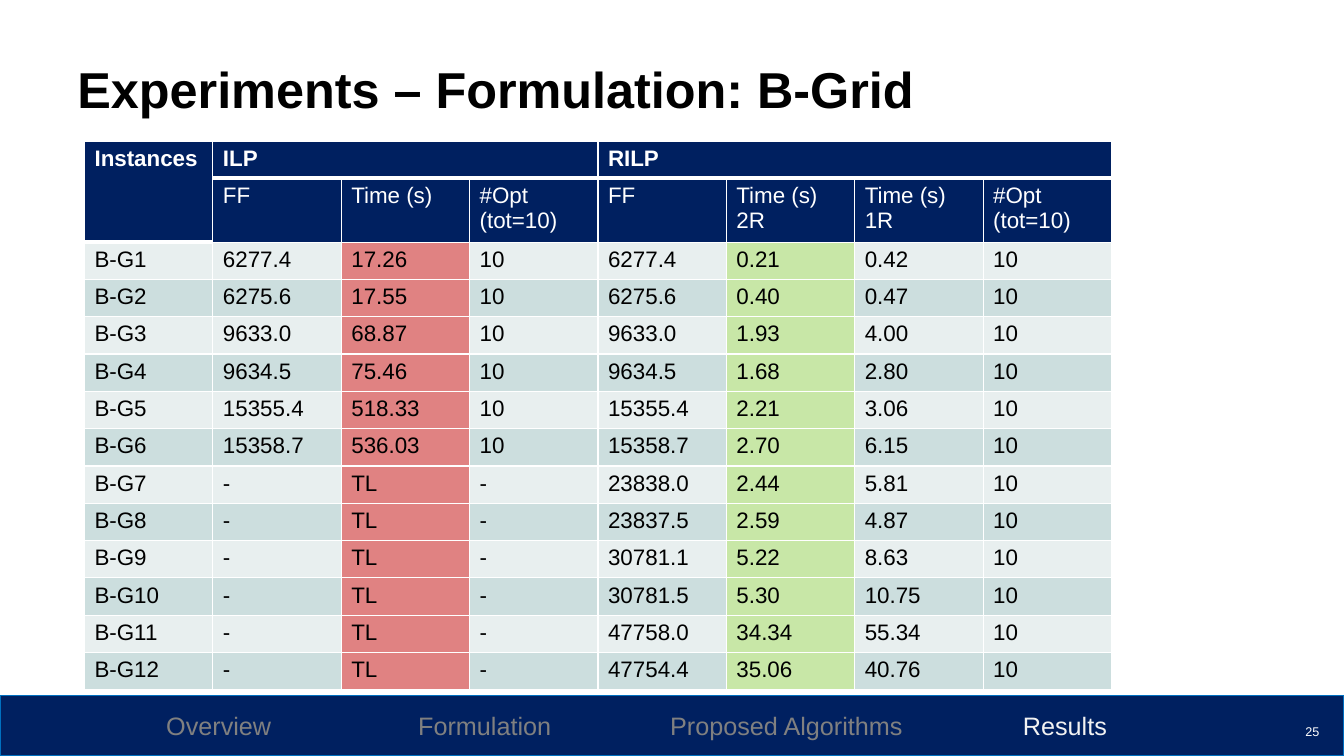
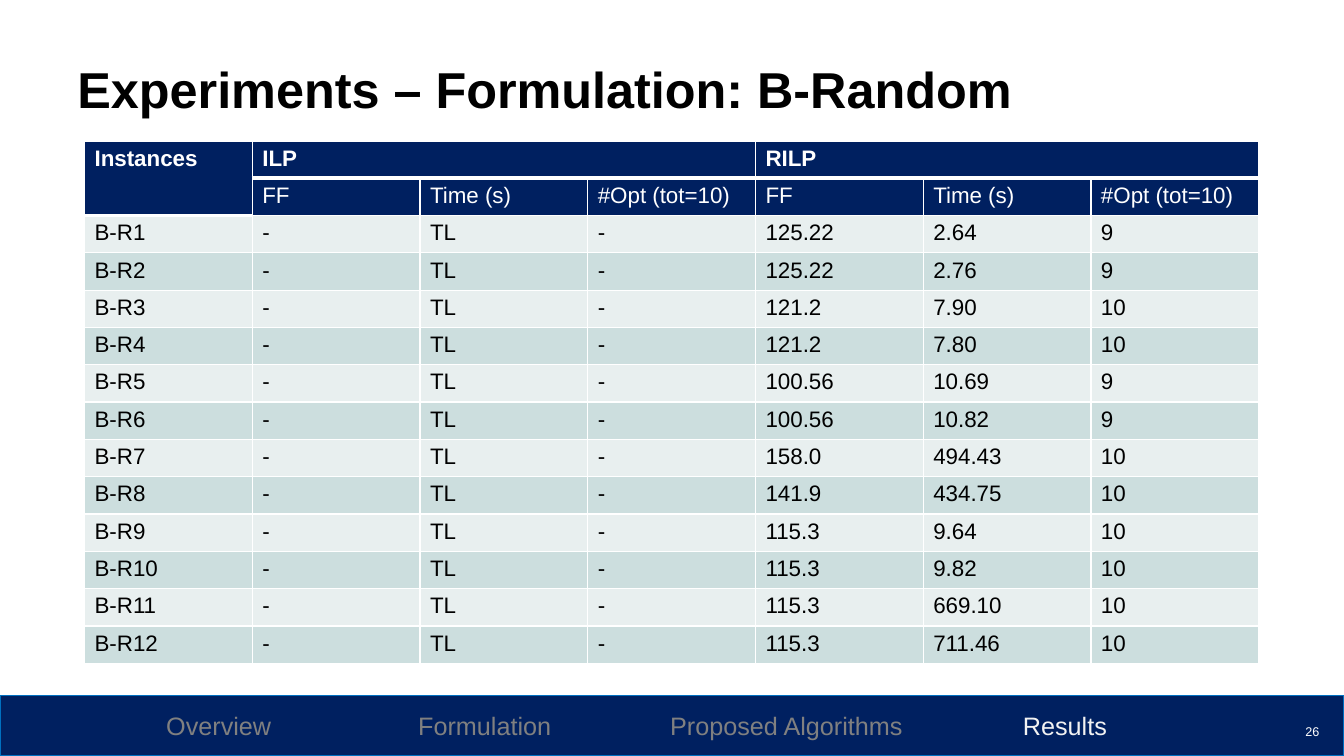
from lxml import etree
from pptx import Presentation
from pptx import util as u
from pptx.dml.color import RGBColor
from pptx.enum import shapes, text
from pptx.oxml import ns

NAVY, WHITE, BLACK = "002060", "FFFFFF", "000000"
BANDS = ("E8EFEF", "CCDEDE")
SLOW, FAST = ("C00000", 49), ("92D050", 50)
SECTIONS = ("Overview", "Formulation", "Proposed Algorithms", "Results")
SECTION_STOPS = (3.94, 10.29, 16.64, 25.53)
UNSOLVED = "- TL - "

GRID_HEADS = ("FF", "Time (s)", "#Opt (tot=10)", "FF", "Time (s) 2R", "Time (s) 1R", "#Opt (tot=10)")
GRID_RESULTS = (
    "6277.4 17.26 10 6277.4 0.21 0.42 10",
    "6275.6 17.55 10 6275.6 0.40 0.47 10",
    "9633.0 68.87 10 9633.0 1.93 4.00 10",
    "9634.5 75.46 10 9634.5 1.68 2.80 10",
    "15355.4 518.33 10 15355.4 2.21 3.06 10",
    "15358.7 536.03 10 15358.7 2.70 6.15 10",
    UNSOLVED + "23838.0 2.44 5.81 10",
    UNSOLVED + "23837.5 2.59 4.87 10",
    UNSOLVED + "30781.1 5.22 8.63 10",
    UNSOLVED + "30781.5 5.30 10.75 10",
    UNSOLVED + "47758.0 34.34 55.34 10",
    UNSOLVED + "47754.4 35.06 40.76 10",
)
RANDOM_HEADS = ("FF", "Time (s)", "#Opt (tot=10)") * 2
RANDOM_RESULTS = [UNSOLVED + rilp for rilp in (
    "125.22 2.64 9", "125.22 2.76 9", "121.2 7.90 10", "121.2 7.80 10",
    "100.56 10.69 9", "100.56 10.82 9", "158.0 494.43 10", "141.9 434.75 10",
    "115.3 9.64 10", "115.3 9.82 10", "115.3 669.10 10", "115.3 711.46 10",
)]


def rgb(code):
    return RGBColor.from_string(code)


def assign(target, **values):
    for name, value in values.items():
        setattr(target, name, value)


def thick_below(row, col):
    return row == 0 or (row, col) == (1, 0)


class Deck:
    """Holds the shared style and the slide being built."""

    def __init__(self):
        self.prs = Presentation()
        assign(self.prs, slide_width=u.Cm(33.87), slide_height=u.Cm(19.05))
        self.slide = None

    def new_slide(self, title, number):
        self.slide = self.prs.slides.add_slide(self.prs.slide_layouts[6])
        self.footer()
        self.label(title, (1.7, 1.52, 29.59, 3.15), 36, BLACK, bold=True, line_spacing=0.9)
        self.label(str(number), (32.31, 17.93, 1.19, 1.02), 9, WHITE,
                   anchor=text.MSO_ANCHOR.MIDDLE, alignment=text.PP_ALIGN.RIGHT)

    def styled_run(self, paragraph, words, size, color, bold=False):
        run = paragraph.add_run()
        run.text = words
        assign(run.font, name="Arial", size=u.Pt(size), bold=bold)
        run.font.color.rgb = rgb(color)

    def label(self, words, box, size, color, bold=False, anchor=text.MSO_ANCHOR.TOP, **layout):
        frame = self.slide.shapes.add_textbox(*map(u.Cm, box)).text_frame
        assign(frame, word_wrap=True, vertical_anchor=anchor)
        assign(frame.paragraphs[0], **layout)
        self.styled_run(frame.paragraphs[0], words, size, color, bold)

    def footer(self):
        band = self.slide.shapes.add_shape(
            shapes.MSO_SHAPE.RECTANGLE, 0, u.Cm(17.53), self.prs.slide_width, u.Cm(1.52))
        band.shadow.inherit = False
        band.fill.solid()
        band.fill.fore_color.rgb = rgb(NAVY)
        band.line.color.rgb = rgb("0070C0")
        band.line.width = u.Pt(1)
        band.text_frame.vertical_anchor = text.MSO_ANCHOR.MIDDLE
        menu = band.text_frame.paragraphs[0]
        menu.alignment = text.PP_ALIGN.LEFT
        stops = etree.SubElement(menu._p.get_or_add_pPr(), ns.qn("a:tabLst"))
        for stop in SECTION_STOPS:
            etree.SubElement(stops, ns.qn("a:tab"), pos=str(u.Cm(stop)), algn="l")
        for section in SECTIONS:
            color = "F2F2F2" if section == "Results" else "808080"
            self.styled_run(menu, "\t" + section, 18, color)

    def cell(self, cell, words, fill, color, bold, thick_top, thick_bottom):
        self.styled_run(cell.text_frame.paragraphs[0], words, 16, color, bold)
        props = cell._tc.get_or_add_tcPr()
        for side, thick in (("L", False), ("R", False), ("T", thick_top), ("B", thick_bottom)):
            edge = etree.SubElement(props, ns.qn("a:ln" + side), w=str(u.Pt(3 if thick else 1)))
            ink = etree.SubElement(edge, ns.qn("a:solidFill"))
            etree.SubElement(ink, ns.qn("a:srgbClr"), val=WHITE)
        shade, opacity = fill
        cell.fill.solid()
        cell.fill.fore_color.rgb = rgb(shade)
        if opacity < 100:
            tint = props.find(ns.qn("a:solidFill")).find(ns.qn("a:srgbClr"))
            etree.SubElement(tint, ns.qn("a:alpha"), val=str(opacity * 1000))

    def results(self, prefix, heads, results, width, highlights):
        groups = ["Instances", "ILP", "", "", "RILP"] + [""] * (len(heads) - 4)
        rows = [groups, ["", *heads]]
        rows += [[f"{prefix}{i}", *line.split()] for i, line in enumerate(results, 1)]
        heights = [0.66] + [0.94] * (len(rows) - 1)
        table = self.slide.shapes.add_table(
            len(rows), len(groups), u.Cm(2.13), u.Cm(3.56), u.Cm(width), u.Cm(sum(heights))).table
        assign(table, first_row=False, horz_banding=False)
        for row, height in zip(table.rows, heights):
            row.height = u.Cm(height)
        for r, row in enumerate(rows):
            for c, words in enumerate(row):
                header = r < 2
                fill = (NAVY, 100) if header else highlights.get(c, (BANDS[r % 2], 100))
                self.cell(table.cell(r, c), words, fill, WHITE if header else BLACK, r == 0,
                          thick_below(r - 1, c), thick_below(r, c))
        for first, last in (((0, 0), (1, 0)), ((0, 1), (0, 3)), ((0, 4), (0, len(heads)))):
            table.cell(*first).merge(table.cell(*last))


def main():
    deck = Deck()
    deck.new_slide("Experiments – Formulation: B-Grid", 25)
    deck.results("B-G", GRID_HEADS, GRID_RESULTS, 25.88, {2: SLOW, 5: FAST})
    deck.new_slide("Experiments – Formulation: B-Random", 26)
    deck.results("B-R", RANDOM_HEADS, RANDOM_RESULTS, 29.59, {})
    deck.prs.save("out.pptx")


if __name__ == "__main__":
    main()
